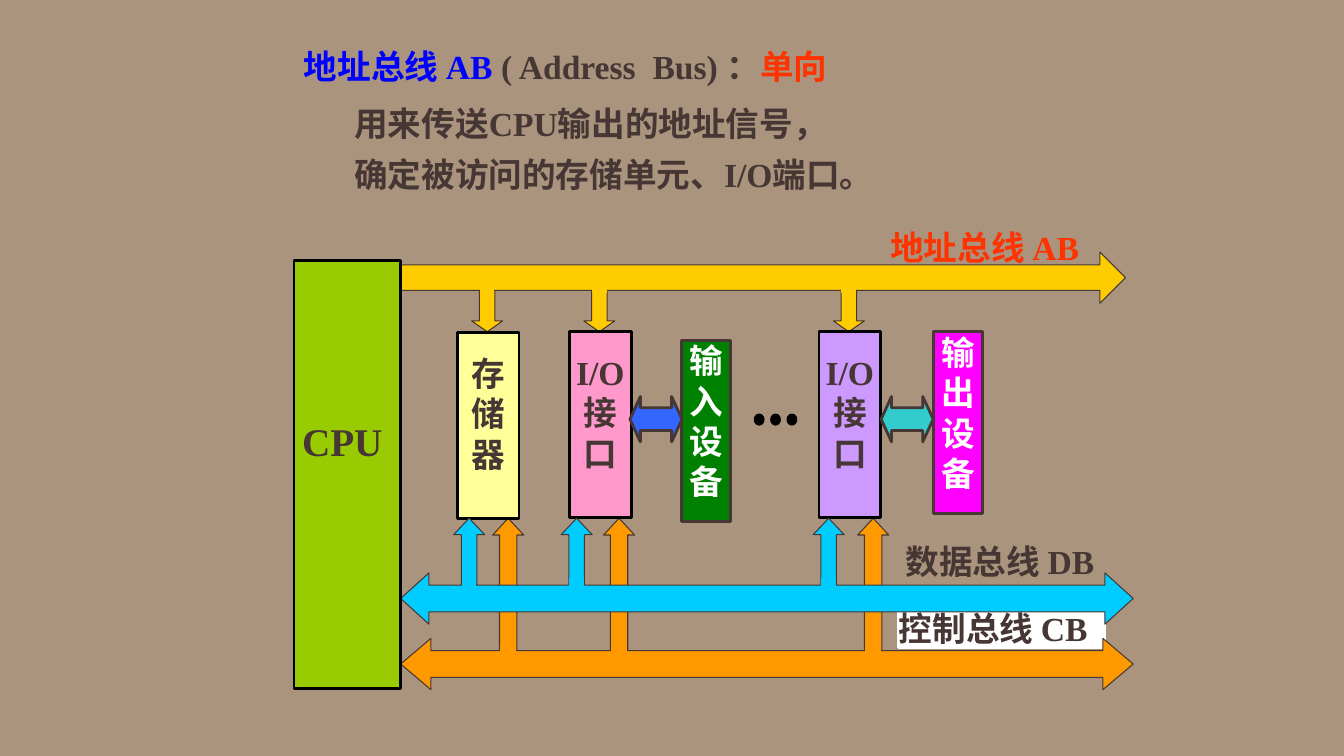
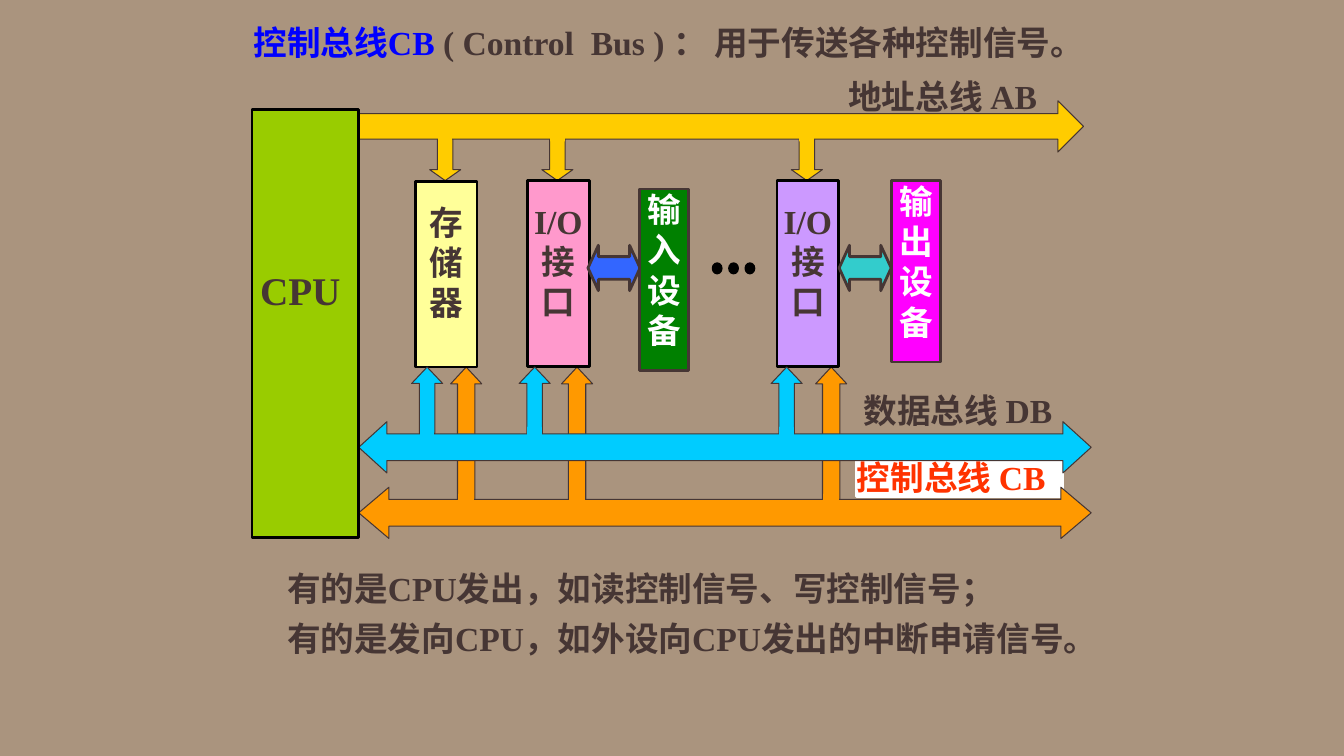
import lxml.etree
import pptx
import pptx.dml.color
import pptx.enum.shapes
import pptx.enum.text
import pptx.oxml.ns
import pptx.util

COLUMNS, ROWS = 160, 90
SHAPE = pptx.enum.shapes.MSO_SHAPE
ALIGN = pptx.enum.text.PP_ALIGN
COLORS = {
    "background": "AA947E", "ink": "463634", "term": "0000FF", "accent": "FF3300",
    "black": "000000", "white": "FFFFFF", "cpu": "99CC00", "address": "FFCC00",
    "data": "00CCFF", "control": "FF9900", "memory": "FFFF99", "input_port": "FF99CC",
    "output_port": "CC99FF", "input_device": "008000", "output_device": "FF00FF",
    "input_link": "3366FF", "output_link": "33CCCC",
}


class Board:
    """Holds the style and the current slide; lengths are grid columns and rows."""

    latin, east_asian = "Times New Roman", "Noto Sans CJK SC"
    text_size, line_height = 24, 28.8

    def __init__(self):
        self.deck = pptx.Presentation()
        self.deck.slide_width = pptx.util.Inches(13.33)
        self.deck.slide_height = pptx.util.Inches(7.5)
        self.slide = None
        self.left = self.top = 0

    def color(self, name):
        return pptx.dml.color.RGBColor.from_string(COLORS[name])

    def new_slide(self):
        self.slide = self.deck.slides.add_slide(self.deck.slide_layouts[6])
        self.move_origin(0, 0)
        fill = self.slide.background.fill
        fill.solid()
        fill.fore_color.rgb = self.color("background")

    def move_origin(self, column, row):
        self.left, self.top = column, row

    def place(self, column, row, width, height):
        across = self.deck.slide_width / COLUMNS
        down = self.deck.slide_height / ROWS
        return (round((self.left + column) * across), round((self.top + row) * down),
                round(width * across), round(height * down))

    def shape(self, kind, box, fill, line="ink", weight=2.0, adjust=()):
        drawn = self.slide.shapes.add_shape(kind, *self.place(*box))
        drawn.shadow.inherit = False
        drawn.fill.solid()
        drawn.fill.fore_color.rgb = self.color(fill)
        drawn.line.color.rgb = self.color(line)
        drawn.line.width = pptx.util.Pt(weight)
        for index, share in enumerate(adjust):
            drawn.adjustments[index] = share
        return drawn

    def arrow(self, kind, box, fill, adjust, weight=0.75):
        self.shape(kind, box, fill, weight=weight, adjust=adjust)

    def patch(self, column, row, width, height, fill):
        """Opens the outline where a branch, centred on column, meets its bus."""
        self.shape(SHAPE.RECTANGLE, (column - width / 2, row, width, height), fill, fill)

    def set_lines(self, holder, lines, color="ink", align=ALIGN.JUSTIFY, insets=(0, 0),
                  size=text_size, after=(), indents=()):
        """Each line is a string or a list of (text, color) pairs; insets are left, top."""
        frame = holder.text_frame
        frame.word_wrap = True
        frame.vertical_anchor = pptx.enum.text.MSO_ANCHOR.TOP
        frame.margin_left, frame.margin_top = map(pptx.util.Inches, insets)
        frame.margin_right = frame.margin_bottom = 0
        for index, line in enumerate(lines):
            paragraph = frame.paragraphs[0] if index == 0 else frame.add_paragraph()
            paragraph.alignment = align
            paragraph.line_spacing = pptx.util.Pt(self.line_height * size / self.text_size)
            if after:
                paragraph.space_after = pptx.util.Pt(after[index])
            if indents:
                margin = pptx.util.Inches(indents[index])
                paragraph._p.get_or_add_pPr().set("marL", str(margin))
            font = paragraph.font
            font.name, font.size, font.bold = self.latin, pptx.util.Pt(size), True
            font.color.rgb = self.color(color)
            east = lxml.etree.SubElement(font._element, pptx.oxml.ns.qn("a:ea"))
            east.set("typeface", self.east_asian)
            for text, tint in [(line, color)] if isinstance(line, str) else line:
                run = paragraph.add_run()
                run.text = text
                if tint != color:
                    run.font.color.rgb = self.color(tint)

    def text(self, box, lines, **style):
        self.set_lines(self.slide.shapes.add_textbox(*self.place(*box)), lines, **style)

    def block(self, box, lines, fill, line="black", color="ink", **style):
        self.set_lines(self.shape(SHAPE.RECTANGLE, box, fill, line), lines, color, **style)


def draw_buses(board, column, row, highlight):
    """Draws the CPU and its three buses from the CPU's top left corner."""
    board.move_origin(column, row)
    label_color = {"address": "ink", "data": "ink", "control": "ink", highlight: "accent"}
    cpu_width, bus_height, branch_width = 12.7, 6.1, 3.7
    # block column, row, data branch, control branch, fill, lines
    units = [
        (19.45, 8.6, 19, 23.65, "memory", ["存", "储", "器"]),
        (32.8, 8.5, 31.8, 36.85, "input_port", ["I/O", "接", "口"]),
        (62.5, 8.5, 61.8, 67.1, "output_port", ["I/O", "接", "口"]),
    ]
    devices = [
        (46.1, 9.5, "input_device", "输入设备", 40, "input_link"),
        (76.1, 8.5, "output_device", "输出设备", 69.9, "output_link"),
    ]
    address_offset = 1.7

    for x, y, data_x, control_x, fill, lines in units:
        board.arrow(SHAPE.DOWN_ARROW, (x + address_offset, 3.2, branch_width, 5.3),
                    "address", (0.5, 0.35))
        board.arrow(SHAPE.UP_ARROW, (control_x, 30.7, branch_width, 17.8),
                    "control", (0.56, 0.54))
    board.arrow(SHAPE.RIGHT_ARROW, (cpu_width, -1, 86.3, bus_height), "address", (0.5, 0.5))

    for x, y, data_x, control_x, fill, lines in units:
        board.block((x, y, 7.35, 22.1), lines, fill, align=ALIGN.CENTER, insets=(0, 0.2))
    for x, y, fill, name, link_x, link_fill in devices:
        board.arrow(SHAPE.LEFT_RIGHT_ARROW, (link_x, 16.2, 6.2, 5.4), link_fill,
                    (0.5, 0.23), weight=2)
        board.block((x, y, 5.9, 21.6), list(name), fill, "ink", "white", align=ALIGN.CENTER)
    for dot in range(3):
        board.shape(SHAPE.OVAL, (54.9 + 1.95 * dot, 18.4, 0.95, 1.1), "black", "black")

    board.text((72.8, 33.4, 29.2, 4.8), ["数据总线 DB"], color=label_color["data"])
    board.block((72, 41.4, 24.5, 4.7), ["控制总线 CB"], "white", "white",
                label_color["control"])
    board.text((71, -4, 30, 7), ["地址总线 AB"], color=label_color["address"])

    for y, fill, head in ((37.2, "data", 0.55), (45, "control", 0.59)):
        board.arrow(SHAPE.LEFT_RIGHT_ARROW, (cpu_width, y, 87.2, bus_height), fill,
                    (0.52, head))
    for x, y, data_x, control_x, fill, lines in units:
        board.arrow(SHAPE.UP_ARROW, (data_x, 30.7, branch_width, 7.9), "data", (0.5, 0.53))
        middle = branch_width / 2
        board.patch(data_x + middle, 37.9, 1.4, 1.3, "data")
        board.patch(control_x + middle, 45.9, 1.5, 1.2, "control")
        board.patch(x + address_offset + middle, 3, 1.4, 0.8, "address")
    board.block((0, 0, cpu_width, 51), ["CPU"], "cpu", size=28, insets=(0.08, 1.56))


def address_bus_slide(board):
    board.new_slide()
    board.text((35, 4.9, 80, 19.7), [
        [("地址总线 AB ", "term"), ("( Address  Bus) ：", "ink"), ("单向", "accent")],
        "用来传送CPU输出的地址信号，",
        "确定被访问的存储单元、I/O端口。",
    ], insets=(0.1, 0.05), after=(12, 7.2, 7.2), indents=(0, 0.5, 0.5))
    draw_buses(board, 35, 31, "address")


def control_bus_slide(board):
    board.new_slide()
    board.text((29, 2, 102, 6), [
        [("控制总线CB ", "term"), ("( Control  Bus ) ： 用于传送各种控制信号。", "ink")],
    ], align=ALIGN.LEFT, insets=(0.1, 0.05))
    draw_buses(board, 30, 13, "control")
    board.move_origin(0, 0)
    board.text((33, 67, 103, 12.4), [
        "有的是CPU发出，如读控制信号、写控制信号；",
        "有的是发向CPU，如外设向CPU发出的中断申请信号。",
    ], insets=(0.1, 0.05), after=(7.2, 7.2))


def main():
    board = Board()
    address_bus_slide(board)
    control_bus_slide(board)
    board.deck.save("out.pptx")


if __name__ == "__main__":
    main()
